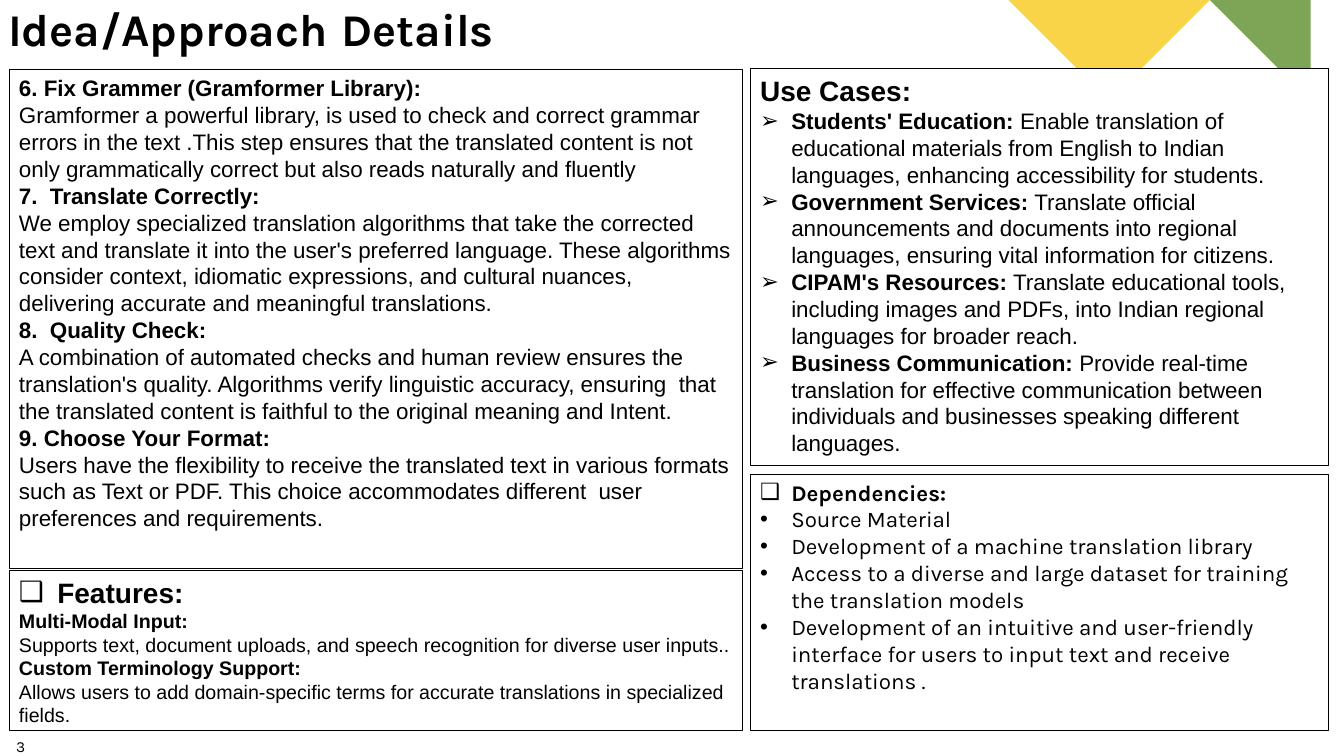
from lxml import etree
from pptx import Presentation
from pptx import util as u
from pptx.dml.color import RGBColor
from pptx.enum import text
from pptx.oxml.ns import qn

WIDTH, HEIGHT = 13.33, 7.5
LEFT, RIGHT = (0.09, 7.27), (7.44, 5.73)  # column left edge and width
BLACK, WHITE = "000000", "FFFFFF"

CORNER = {
    "4495A2": [(13.33, 3.64), (13.33, 2.41), (12.12, 1.19), (11.5, 1.8)],
    "7CA655": [(13.33, 1.19), (13.33, 0), (12.15, 0)],
    "F9D448": [(9.7, 0), (10.89, 1.19), (12.09, 0)],
}
STEPS = [
    ("6. Fix Grammer (Gramformer Library):",
     "Gramformer a powerful library, is used to check and correct grammar errors in the text .This step "
     "ensures that the translated content is not only grammatically correct but also reads naturally and fluently"),
    ("7.  Translate Correctly:",
     "We employ specialized translation algorithms that take the corrected text and translate it into the "
     "user's preferred language. These algorithms consider context, idiomatic expressions, and cultural "
     "nuances, delivering accurate and meaningful translations."),
    ("8.  Quality Check:",
     "A combination of automated checks and human review ensures the translation's quality. Algorithms verify "
     "linguistic accuracy, ensuring  that the translated content is faithful to the original meaning and Intent."),
    ("9. Choose Your Format:",
     "Users have the flexibility to receive the translated text in various formats such as Text or PDF. "
     "This choice accommodates different  user preferences and requirements."),
]
FEATURES = [
    ("Multi-Modal Input:",
     "Supports text, document uploads, and speech recognition for diverse user inputs.."),
    ("Custom Terminology Support:",
     "Allows users to add domain-specific terms for accurate translations in specialized fields."),
]
USE_CASES = [
    ("Students' Education:",
     " Enable translation of educational materials from English to Indian languages, enhancing "
     "accessibility for students."),
    ("Government Services:",
     " Translate official announcements and documents into regional languages, ensuring vital "
     "information for citizens."),
    ("CIPAM's Resources:",
     " Translate educational tools, including images and PDFs, into Indian regional languages "
     "for broader reach."),
    ("Business Communication:",
     " Provide real-time translation for effective communication between individuals and "
     "businesses speaking different languages."),
]
DEPENDENCIES = [
    "Source Material",
    "Development of a machine translation library",
    "Access to a diverse and large dataset for training the translation models",
    "Development of an intuitive and user-friendly interface for users to input text and receive translations .",
]


def color(value):
    return RGBColor.from_string(value)


def place(shape, box):
    for name, value in zip(("left", "top", "width", "height"), box):
        setattr(shape, name, u.Inches(value))


def set_frame(frame, margins=(0.1, 0.05), anchor=text.MSO_ANCHOR.TOP):
    across, down = map(u.Inches, margins)
    values = {"word_wrap": True, "auto_size": text.MSO_AUTO_SIZE.NONE, "vertical_anchor": anchor,
              "margin_left": across, "margin_right": across, "margin_top": down, "margin_bottom": down}
    for name, value in values.items():
        setattr(frame, name, value)


def add_bullet(para, char, indent):
    properties = para._p.get_or_add_pPr()
    properties.set("marL", str(u.Inches(indent)))
    properties.set("indent", str(-u.Inches(indent)))
    fill = etree.SubElement(properties, qn("a:buClr"))
    etree.SubElement(fill, qn("a:srgbClr"), val=BLACK)
    etree.SubElement(properties, qn("a:buFont"), typeface="Arial")
    etree.SubElement(properties, qn("a:buChar"), char=char)


def write(frame, spans, first=False, bullet=None, indent=0.31, font="Arial"):
    """Add one paragraph; each span is (words, size, bold)."""
    para = frame.paragraphs[0] if first else frame.add_paragraph()
    if bullet:
        add_bullet(para, bullet, indent)
    para.alignment = text.PP_ALIGN.LEFT
    for words, size, bold in spans:
        span = para.add_run()
        span.text = words
        for name, value in {"name": font, "size": u.Pt(size), "bold": bold}.items():
            setattr(span.font, name, value)
        span.font.color.rgb = color(BLACK)
    return para


def add_panel(page, box, fill=None):
    panel = page.shapes.add_shape(1, 0, 0, 0, 0)
    place(panel, box)
    panel.shadow.inherit = False
    if fill:
        panel.fill.solid()
        panel.fill.fore_color.rgb = color(fill)
    else:
        panel.fill.background()
    panel.line.color.rgb = color(BLACK)
    panel.line.width = u.Pt(0.25)
    set_frame(panel.text_frame)
    return panel.text_frame


def add_corner(page):
    for fill, points in CORNER.items():
        builder = page.shapes.build_freeform(*points[0], scale=u.Inches(1))
        builder.add_line_segments(points[1:], close=True)
        facet = builder.convert_to_shape()
        facet.shadow.inherit = False
        facet.fill.solid()
        facet.fill.fore_color.rgb = color(fill)
        facet.line.fill.background()


def add_title(page, box):
    title = page.shapes.title
    place(title, box)
    set_frame(title.text_frame, (0, 0), text.MSO_ANCHOR.BOTTOM)
    spans = [("Idea/Approach", 32.4, True), (" ", 39.6, True), ("Details", 32.4, True)]
    write(title.text_frame, spans, first=True, font="Karla").line_spacing = 0.9


def add_pairs(frame, pairs, size, first=False):
    for number, (heading, body) in enumerate(pairs):
        write(frame, [(heading, size, True)], first=first and number == 0)
        write(frame, [(body, size, False)])


def add_steps(page, box):
    add_pairs(add_panel(page, box, WHITE), STEPS, 16, first=True)


def add_features(page, box):
    frame = add_panel(page, box)
    write(frame, [("Features:", 20, True)], first=True, bullet="❑", indent=0.38)
    add_pairs(frame, FEATURES, 14)


def add_use_cases(page, box):
    frame = add_panel(page, box, WHITE)
    write(frame, [("Use Cases:", 20, True)], first=True)
    for name, body in USE_CASES:
        write(frame, [(name, 16, True), (body, 16, False)], bullet="➢")


def add_dependencies(page, box):
    frame = add_panel(page, box)
    write(frame, [("Dependencies:", 16, True)], first=True, bullet="❑", font="Karla")
    for item in DEPENDENCIES:
        write(frame, [(item, 16, False)], bullet="•", font="Karla")


def add_page_number(page, box):
    number = page.shapes.add_textbox(0, 0, 0, 0)
    place(number, box)
    set_frame(number.text_frame, (0, 0))
    write(number.text_frame, [("3", 11, False)], first=True, font="Karla")


def main():
    deck = Presentation()
    deck.slide_width, deck.slide_height = u.Inches(WIDTH), u.Inches(HEIGHT)
    page = deck.slides.add_slide(deck.slide_layouts[5])
    add_corner(page)
    add_title(page, (0.08, 0.09, 5.7, 0.49))
    # Right column
    add_dependencies(page, (RIGHT[0], 4.7, RIGHT[1], 2.54))
    add_use_cases(page, (RIGHT[0], 0.68, RIGHT[1], 3.94))
    # Left column
    add_steps(page, (LEFT[0], 0.69, LEFT[1], 4.95))
    add_features(page, (LEFT[0], 5.66, LEFT[1], 1.58))
    add_page_number(page, (0.16, 7.31, 0.57, 0.27))
    deck.save("out.pptx")


if __name__ == "__main__":
    main()
